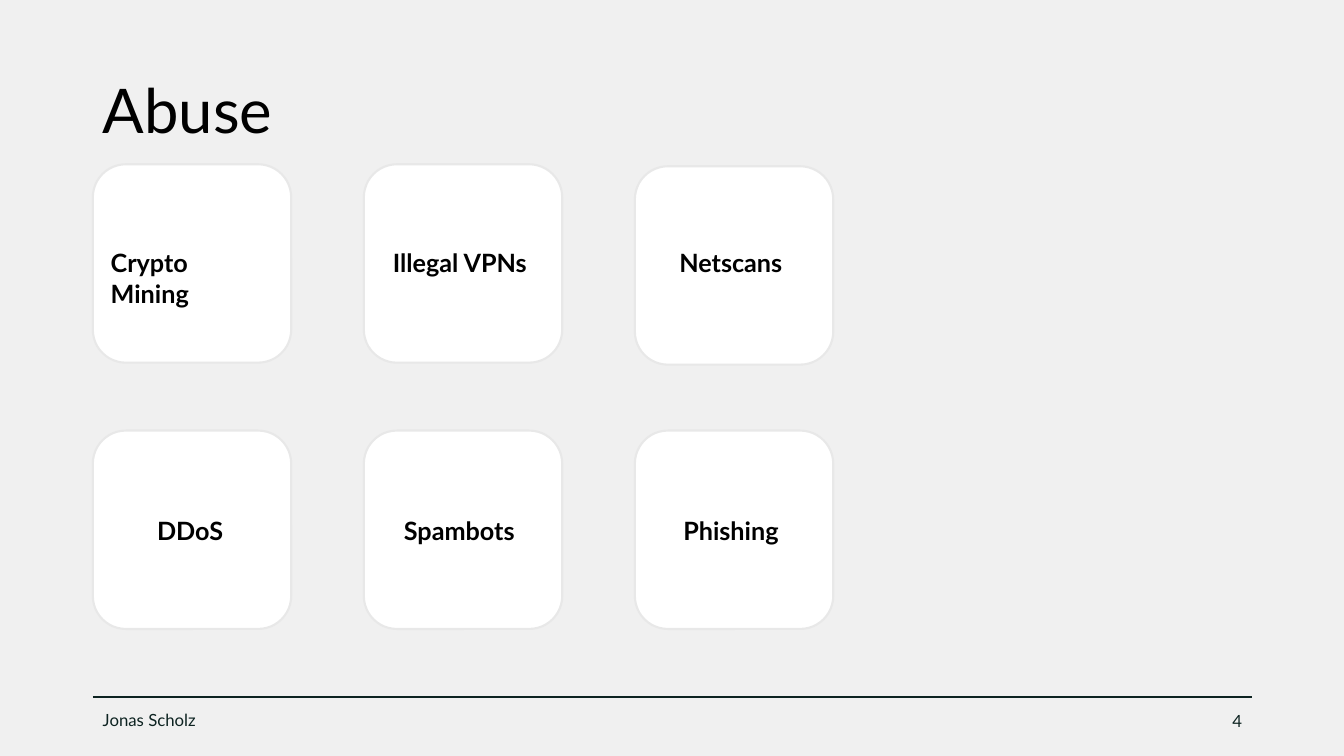
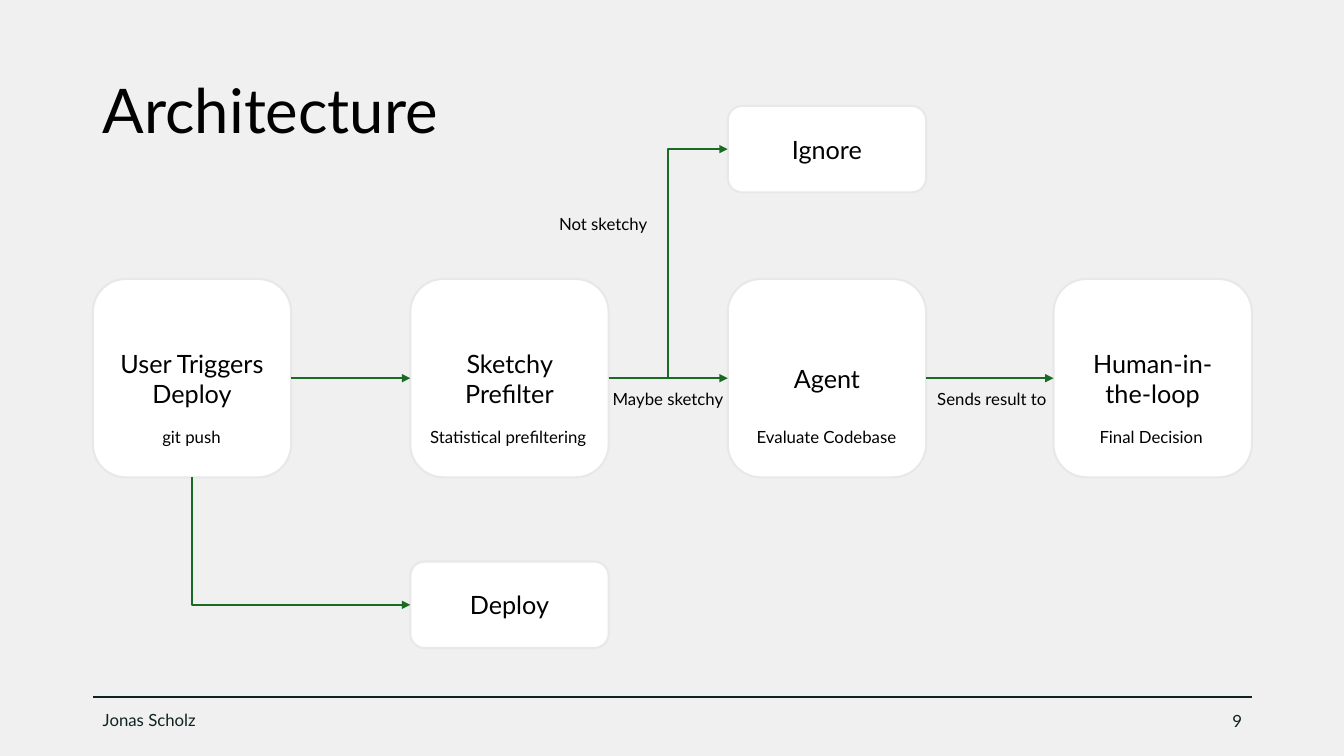
from dataclasses import dataclass

from lxml import etree
from pptx import Presentation
from pptx.dml.color import RGBColor
from pptx.enum.shapes import MSO_CONNECTOR, MSO_SHAPE
from pptx.enum.text import MSO_ANCHOR, MSO_AUTO_SIZE, PP_ALIGN
from pptx.oxml.ns import qn
from pptx.presentation import Presentation as Deck
from pptx.shapes.autoshape import Shape
from pptx.shapes.connector import Connector
from pptx.slide import Slide
from pptx.text.text import TextFrame
from pptx.util import Cm, Pt

ROUNDED = MSO_SHAPE.ROUNDED_RECTANGLE
STRAIGHT, ELBOW = MSO_CONNECTOR.STRAIGHT, MSO_CONNECTOR.ELBOW
LEFT, CENTER, RIGHT = PP_ALIGN.LEFT, PP_ALIGN.CENTER, PP_ALIGN.RIGHT
TOP, MIDDLE = MSO_ANCHOR.TOP, MSO_ANCHOR.MIDDLE
FIT_SHAPE = MSO_AUTO_SIZE.SHAPE_TO_FIT_TEXT

COLORS = {
    "background": "F0F0F0",
    "card": "FFFFFF",
    "card_edge": "E8E8E8",
    "text": "000000",
    "footer": "0D2321",
    "flow": "196B24",
}
FONT = "Lato"
AUTHOR = "Jonas Scholz"
MARGIN, CONTENT_WIDTH = 2.34, 29.21
CARD_SIZE, SMALL_CARD_HEIGHT = 5.0, 2.18
LEFT_SITE, BOTTOM_SITE, RIGHT_SITE = 1, 2, 3


@dataclass(frozen=True)
class Label:
    text: str
    left: float
    top: float
    width: float
    height: float = 0.77
    size: int = 12
    bold: bool = False
    color: str = "text"
    align: PP_ALIGN = LEFT
    anchor: MSO_ANCHOR = TOP
    wrap: bool = False
    fit: bool = True
    line_spacing: float = 1.0


@dataclass(frozen=True)
class Card:
    left: float
    top: float
    height: float = CARD_SIZE
    text: str = ""


@dataclass(frozen=True)
class Flow:
    source: str
    target: str
    kind: MSO_CONNECTOR = STRAIGHT
    exit_site: int = RIGHT_SITE


ABUSE_COLUMNS = [MARGIN + 6.83 * column for column in range(3)]
ABUSE_CARDS = [
    Card(left, 4.19 if row == 0 and column == 2 else 4.14 + 6.71 * row)
    for row in range(2)
    for column, left in enumerate(ABUSE_COLUMNS)
]


def abuse_label(text: str, left: float, row: int, width: float, wrap: bool = False) -> Label:
    return Label(text, left, 6.12 + 6.73 * row, width, 1.02, 18, bold=True, wrap=wrap)


ABUSE_LABELS = [
    abuse_label("Crypto Mining", 2.54, 0, 4.4, wrap=True),
    abuse_label("Illegal VPNs", 9.65, 0, 4.27),
    abuse_label("Netscans", 16.87, 0, 3.3),
    abuse_label("DDoS", 3.71, 1, 2.24),
    abuse_label("Spambots", 9.93, 1, 3.48),
    abuse_label("Phishing", 16.97, 1, 3.07),
]

STAGE_TOP, CAPTION_TOP, FLOW_LABEL_TOP = 7.03, 10.62, 9.68
FILTER_LEFT, AGENT_LEFT = 10.34, 18.34
ARCHITECTURE_CARDS = {
    "trigger": Card(MARGIN, STAGE_TOP, text="User Triggers Deploy"),
    "filter": Card(FILTER_LEFT, STAGE_TOP, text="Sketchy Prefilter"),
    "agent": Card(AGENT_LEFT, STAGE_TOP, text="Agent"),
    "human": Card(26.55, STAGE_TOP, text="Human-in-the-loop"),
    "deploy": Card(FILTER_LEFT, 14.15, SMALL_CARD_HEIGHT, "Deploy"),
    "ignore": Card(AGENT_LEFT, 2.67, SMALL_CARD_HEIGHT, "Ignore"),
}
FLOWS = [
    Flow("trigger", "filter"),
    Flow("filter", "agent"),
    Flow("filter", "ignore", ELBOW),
    Flow("agent", "human"),
    Flow("trigger", "deploy", ELBOW, BOTTOM_SITE),
]
ARCHITECTURE_LABELS = [
    Label("git push", 3.84, CAPTION_TOP, 1.98),
    Label("Statistical prefiltering", 10.59, CAPTION_TOP, 4.47),
    Label("Evaluate Codebase", 18.82, CAPTION_TOP, 4.09),
    Label("Final Decision", 27.46, CAPTION_TOP, 3.18),
    Label("Not sketchy", 13.84, 5.26, 3.33),
    Label("Maybe sketchy", 15.19, FLOW_LABEL_TOP, 3.38),
    Label("Sends result to", 23.37, FLOW_LABEL_TOP, 3.33),
]


def rgb(name: str) -> RGBColor:
    return RGBColor.from_string(COLORS[name])


def write(frame: TextFrame, text: str, size: int, color: str, align: PP_ALIGN, bold: bool = False) -> None:
    paragraph = frame.paragraphs[0]
    paragraph.text = text
    paragraph.alignment = align
    font = paragraph.font
    font.name, font.size, font.bold = FONT, Pt(size), bold
    font.color.rgb = rgb(color)


def add_label(slide: Slide, label: Label) -> None:
    frame = slide.shapes.add_textbox(
        Cm(label.left), Cm(label.top), Cm(label.width), Cm(label.height)
    ).text_frame
    frame.word_wrap = label.wrap
    frame.vertical_anchor = label.anchor
    if label.fit:
        frame.auto_size = FIT_SHAPE
    write(frame, label.text, label.size, label.color, label.align, label.bold)
    frame.paragraphs[0].line_spacing = label.line_spacing


def add_card(slide: Slide, card: Card) -> Shape:
    box = slide.shapes.add_shape(
        ROUNDED, Cm(card.left), Cm(card.top), Cm(CARD_SIZE), Cm(card.height)
    )
    box.shadow.inherit = False
    box.fill.solid()
    box.fill.fore_color.rgb = rgb("card")
    box.line.color.rgb = rgb("card_edge")
    box.line.width = Pt(1.5)
    if card.text:
        box.text_frame.word_wrap = True
        box.text_frame.vertical_anchor = MIDDLE
        write(box.text_frame, card.text, 18, "text", CENTER)
    return box


def style_line(line: Connector, color: str, arrow: bool = False) -> None:
    line.line.color.rgb = rgb(color)
    line.line.width = Pt(1.5)
    properties = line._element.spPr
    if arrow:
        etree.SubElement(properties.find(qn("a:ln")), qn("a:tailEnd"), type="triangle")
    etree.SubElement(properties, qn("a:effectLst"))


def bend_once(line: Connector) -> None:
    across, down = line.width, line.height
    center_x, center_y = line.left + across // 2, line.top + down // 2
    line.left, line.top = center_x - down // 2, center_y - across // 2
    line.width, line.height = down, across
    properties = line._element.spPr
    properties.find(qn("a:prstGeom")).set("prst", "bentConnector2")
    frame = properties.find(qn("a:xfrm"))
    frame.set("rot", str(270 * 60000))
    frame.set("flipH", "1")


def add_flow(slide: Slide, flow: Flow, boxes: dict[str, Shape]) -> None:
    line = slide.shapes.add_connector(flow.kind, 0, 0, 0, 0)
    line.begin_connect(boxes[flow.source], flow.exit_site)
    line.end_connect(boxes[flow.target], LEFT_SITE)
    if flow.exit_site == BOTTOM_SITE:
        bend_once(line)
    style_line(line, "flow", arrow=True)


def add_base_slide(deck: Deck, title: str, number: int) -> Slide:
    slide = deck.slides.add_slide(deck.slide_layouts[6])
    add_label(slide, Label(title, MARGIN, 1.02, CONTENT_WIDTH, 3.68, 44, anchor=MIDDLE,
                           wrap=True, fit=False, line_spacing=0.9))
    add_label(slide, Label(str(number), 23.93, 17.65, 7.62, 1.02, color="footer",
                           align=RIGHT, anchor=MIDDLE, wrap=True, fit=False))
    add_label(slide, Label(AUTHOR, MARGIN, 17.75, 28.4, color="footer", wrap=True))
    rule = slide.shapes.add_connector(
        STRAIGHT, Cm(MARGIN), Cm(17.57), Cm(MARGIN + CONTENT_WIDTH), Cm(17.57)
    )
    style_line(rule, "footer")
    return slide


def add_labels(slide: Slide, labels: list[Label]) -> None:
    for label in labels:
        add_label(slide, label)


def build_abuse(deck: Deck) -> None:
    slide = add_base_slide(deck, "Abuse", 4)
    for card in ABUSE_CARDS:
        add_card(slide, card)
    add_labels(slide, ABUSE_LABELS)


def build_architecture(deck: Deck) -> None:
    slide = add_base_slide(deck, "Architecture", 9)
    boxes = {key: add_card(slide, card) for key, card in ARCHITECTURE_CARDS.items()}
    for flow in FLOWS:
        add_flow(slide, flow, boxes)
    add_labels(slide, ARCHITECTURE_LABELS)


def main() -> None:
    deck = Presentation()
    deck.slide_width, deck.slide_height = Cm(33.87), Cm(19.05)
    backdrop = deck.slide_master.background.fill
    backdrop.solid()
    backdrop.fore_color.rgb = rgb("background")
    build_abuse(deck)
    build_architecture(deck)
    deck.save("out.pptx")


if __name__ == "__main__":
    main()
